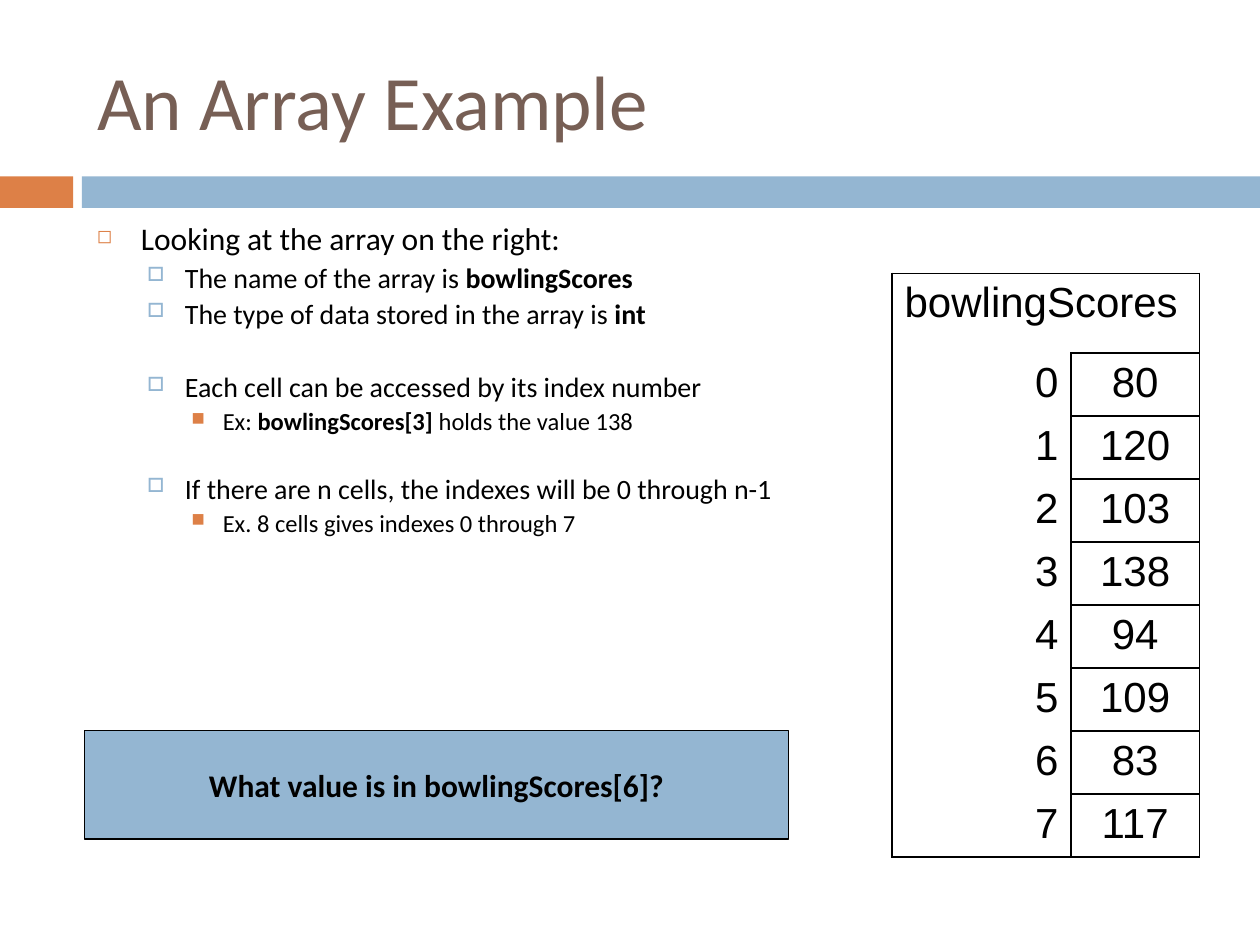
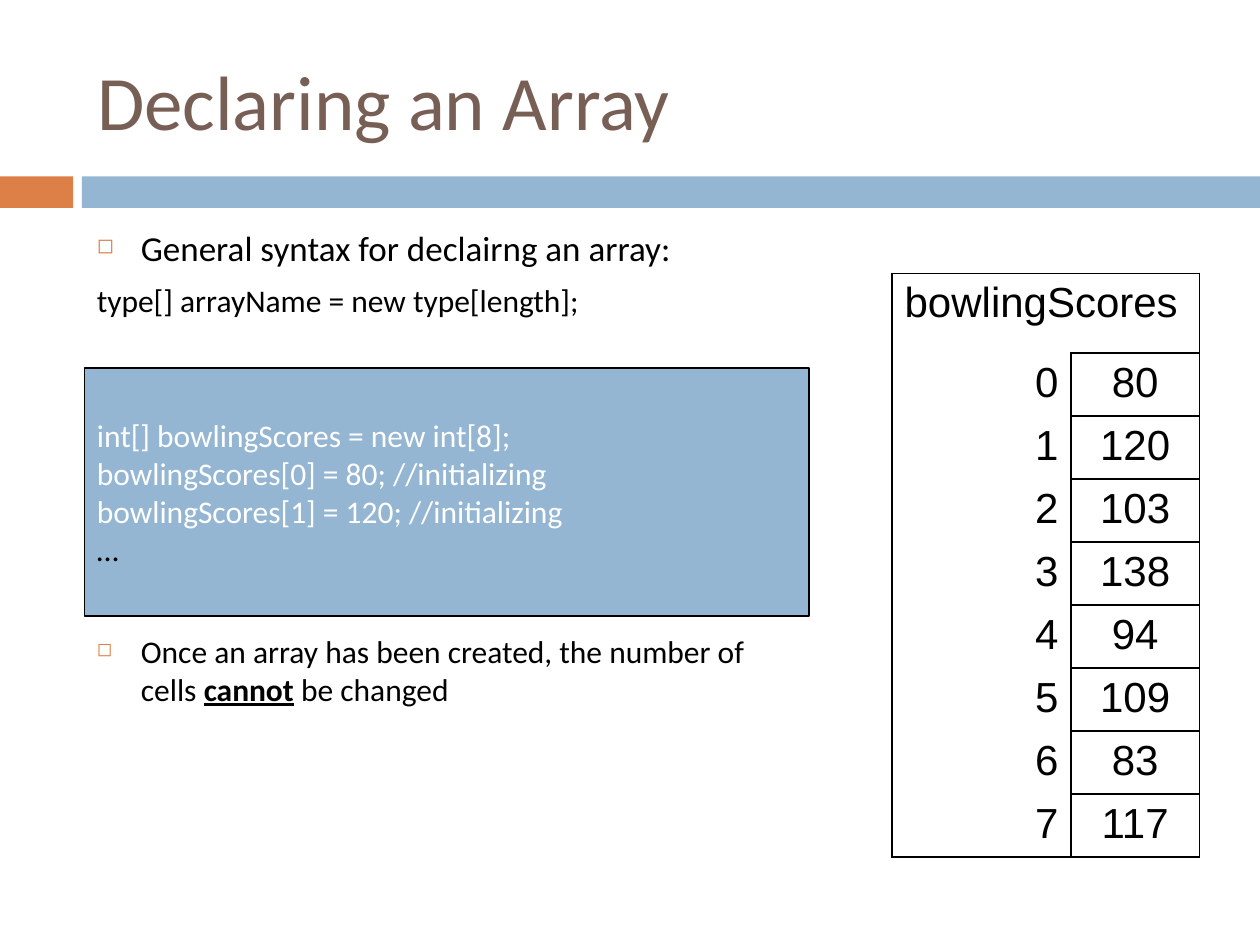
from lxml import etree
from pptx import Presentation
from pptx.dml.color import RGBColor
from pptx.enum.shapes import MSO_SHAPE
from pptx.enum.text import MSO_ANCHOR, MSO_AUTO_SIZE, PP_ALIGN
from pptx.oxml.ns import qn
from pptx.util import Inches, Pt

RECTANGLE = MSO_SHAPE.RECTANGLE
MIDDLE = MSO_ANCHOR.MIDDLE
NO_AUTOFIT = MSO_AUTO_SIZE.NONE
LEFT, CENTER, RIGHT = PP_ALIGN.LEFT, PP_ALIGN.CENTER, PP_ALIGN.RIGHT

ORANGE, BLUE, BROWN = "DD8047", "94B6D2", "775F55"
BLACK, WHITE = "000000", "FFFFFF"
TEXT_FONT, TABLE_FONT = "Calibri", "Arial"

BANDS = [((0, 1.4, 0.58, 0.25), ORANGE), ((0.65, 1.4, 9.35, 0.25), BLUE)]
TITLE_AT = (0.67, 0.25, 8.92, 1.08)
BODY_AT = (0.67, 1.75, 5.83, 4.92)

# Outline levels: left margin, hanging indent, space before, bullet, colour, percent
LEVELS = [
    (0.35, 0.35, 7, "\u25fb", ORANGE, 60),
    (0.7, 0.3, 5.5, "\u25a1", BLUE, 70),
    (1, 0.25, 5, "\u25a0", ORANGE, 75),
]

ARRAY_NAME = "bowlingScores"
SCORES = [80, 120, 103, 138, 94, 109, 83, 117]
TABLE_AT = (7.08, 2.17, 2.44, 4.47)
TABLE_COLUMNS = [1.42, 1.02]
TABLE_ROWS = [0.63, 0.47, 0.45] + [0.5] * 5 + [0.42]

# Body lines: level, size, runs as (text, style), then optional settings.
# Styles: "" plain, "b" bold, "u" underlined.
SLIDES = [
    {
        "title": "An Array Example",
        "line_spacing": 0.8,
        "body": [
            (0, 18, [("Looking at the array on the right:", "")], {}),
            (1, 16, [("The name of the array is ", ""), (ARRAY_NAME, "b")], {}),
            (1, 16, [("The type of data stored in the array is ", ""), ("int", "b")], {}),
            (1, 16, [("Each cell can be accessed by its index number", "")],
             {"before": 26.6}),
            (2, 14, [("Ex: ", ""), ("bowlingScores[3] ", "b"),
                     ("holds the value 138", "")], {}),
            (1, 16, [("If there are n cells, the indexes will be 0 through n-1", "")],
             {"before": 24.2}),
            (2, 14, [("Ex. 8 cells gives indexes 0 through 7", "")], {}),
        ],
        "panel_at": (0.67, 5.8, 5.59, 0.86),
        "panel_align": CENTER,
        "panel": [("What value is in bowlingScores[6]?", "b", BLACK)],
    },
    {
        "title": "Declaring an Array",
        "line_spacing": 1.0,
        "body": [
            (0, 20, [("General syntax for declairng an array:", "")], {}),
            (0, 18, [("type[] arrayName = new type[length];", "")], {"bullet": False}),
            (0, 18, [("Once an array has been created, the number of cells ", ""),
                     ("cannot", "bu"), (" be changed", "")], {"before": 179}),
        ],
        "panel_at": (0.67, 2.92, 5.75, 1.97),
        "panel_align": LEFT,
        "panel": [
            ("int[] bowlingScores = new int[8];", "", WHITE),
            ("bowlingScores[0] = 80; //initializing", "", WHITE),
            ("bowlingScores[1] = 120; //initializing", "", WHITE),
            ("\u2026", "", BLACK),
        ],
    },
]


def color(code):
    """Turn a hex string into a colour."""
    return RGBColor.from_string(code)


def inches(numbers):
    """Turn a series of numbers into lengths."""
    return [Inches(number) for number in numbers]


def format_span(span, size, code, style="", font=TEXT_FONT):
    """Set the font of one run."""
    span.font.name = font
    span.font.size = Pt(size)
    span.font.color.rgb = color(code)
    if "b" in style:
        span.font.bold = True
    if "u" in style:
        span.font.underline = True


def add_rectangle(page, place, fill):
    """Draw a flat rectangle without an outline."""
    box = page.shapes.add_shape(RECTANGLE, *inches(place))
    box.shadow.inherit = False
    box.fill.solid()
    box.fill.fore_color.rgb = color(fill)
    box.line.fill.background()
    return box


def add_title(page, text):
    """Place and format the title."""
    title = page.shapes.title
    title.left, title.top, title.width, title.height = inches(TITLE_AT)
    frame = title.text_frame
    frame.text = text
    frame.auto_size = NO_AUTOFIT
    frame.vertical_anchor = MIDDLE
    frame.paragraphs[0].alignment = LEFT
    format_span(frame.paragraphs[0].runs[0], 44, BROWN)


def add_bullet(para, character, code, percent):
    """Give a paragraph a coloured bullet."""
    properties = para._p.get_or_add_pPr()
    bullet_color = etree.SubElement(properties, qn("a:buClr"))
    etree.SubElement(bullet_color, qn("a:srgbClr"), val=code)
    etree.SubElement(properties, qn("a:buSzPct"), val=str(percent * 1000))
    etree.SubElement(properties, qn("a:buChar"), char=character)


def add_body(page, lines, line_spacing):
    """Write the outline on the left."""
    frame = page.shapes.add_textbox(*inches(BODY_AT)).text_frame
    frame.word_wrap = True
    for index, (level, size, spans, settings) in enumerate(lines):
        para = frame.add_paragraph() if index else frame.paragraphs[0]
        margin, hanging, before, character, code, percent = LEVELS[level]
        para.level = level
        para.line_spacing = line_spacing
        para.space_before = Pt(settings.get("before", before))
        properties = para._p.get_or_add_pPr()
        properties.set("marL", str(Inches(margin)))
        properties.set("indent", str(-Inches(hanging)))
        if settings.get("bullet", True):
            add_bullet(para, character, code, percent)
        for text, style in spans:
            span = para.add_run()
            span.text = text
            format_span(span, size, BLACK, style)


def add_panel(page, place, lines, align):
    """Draw the blue panel and its text."""
    box = add_rectangle(page, place, BLUE)
    box.line.color.rgb = color(BLACK)
    box.line.width = Pt(0.75)
    frame = box.text_frame
    frame.word_wrap = True
    frame.vertical_anchor = MIDDLE
    frame.text = "\n".join(text for text, _, _ in lines)
    for para, (_, style, code) in zip(frame.paragraphs, lines):
        para.alignment = align
        format_span(para.runs[0], 18, code, style)


def set_borders(cell, sides):
    """Draw the named sides (L, R, T, B) of a cell and clear the others."""
    properties = cell._tc.get_or_add_tcPr()
    for position, side in enumerate("LRTB"):
        line = etree.Element(qn("a:ln" + side), w=str(Pt(1)))
        if side in sides:
            fill = etree.SubElement(line, qn("a:solidFill"))
            etree.SubElement(fill, qn("a:srgbClr"), val=BLACK)
        else:
            etree.SubElement(line, qn("a:noFill"))
        properties.insert(position, line)


def fill_cell(cell, text, align, sides):
    """Write and format one table cell."""
    cell.fill.background()
    set_borders(cell, sides)
    if text:
        cell.text = text
        para = cell.text_frame.paragraphs[0]
        para.alignment = align
        format_span(para.runs[0], 24, BLACK, font=TABLE_FONT)


def add_array_table(page):
    """Show the array as a column of indexed cells."""
    table = page.shapes.add_table(
        len(TABLE_ROWS), len(TABLE_COLUMNS), *inches(TABLE_AT)).table
    table.first_row = table.horz_banding = False
    for column, width in zip(table.columns, inches(TABLE_COLUMNS)):
        column.width = width
    for row, height in zip(table.rows, inches(TABLE_ROWS)):
        row.height = height
    table.cell(0, 0).merge(table.cell(0, 1))
    fill_cell(table.cell(0, 0), ARRAY_NAME, LEFT, "LRT")
    fill_cell(table.cell(0, 1), "", LEFT, "RTB")
    for index, score in enumerate(SCORES):
        last = index == len(SCORES) - 1
        fill_cell(table.cell(index + 1, 0), str(index), RIGHT, "LRB" if last else "LR")
        fill_cell(table.cell(index + 1, 1), str(score), CENTER, "LRTB")


deck = Presentation()
deck.slide_width, deck.slide_height = Inches(10), Inches(7.5)
title_only = deck.slide_layouts[5]
for content in SLIDES:
    page = deck.slides.add_slide(title_only)
    for place, fill in BANDS:
        add_rectangle(page, place, fill)
    add_title(page, content["title"])
    add_body(page, content["body"], content["line_spacing"])
    add_array_table(page)
    add_panel(page, content["panel_at"], content["panel"], content["panel_align"])
deck.save("out.pptx")
